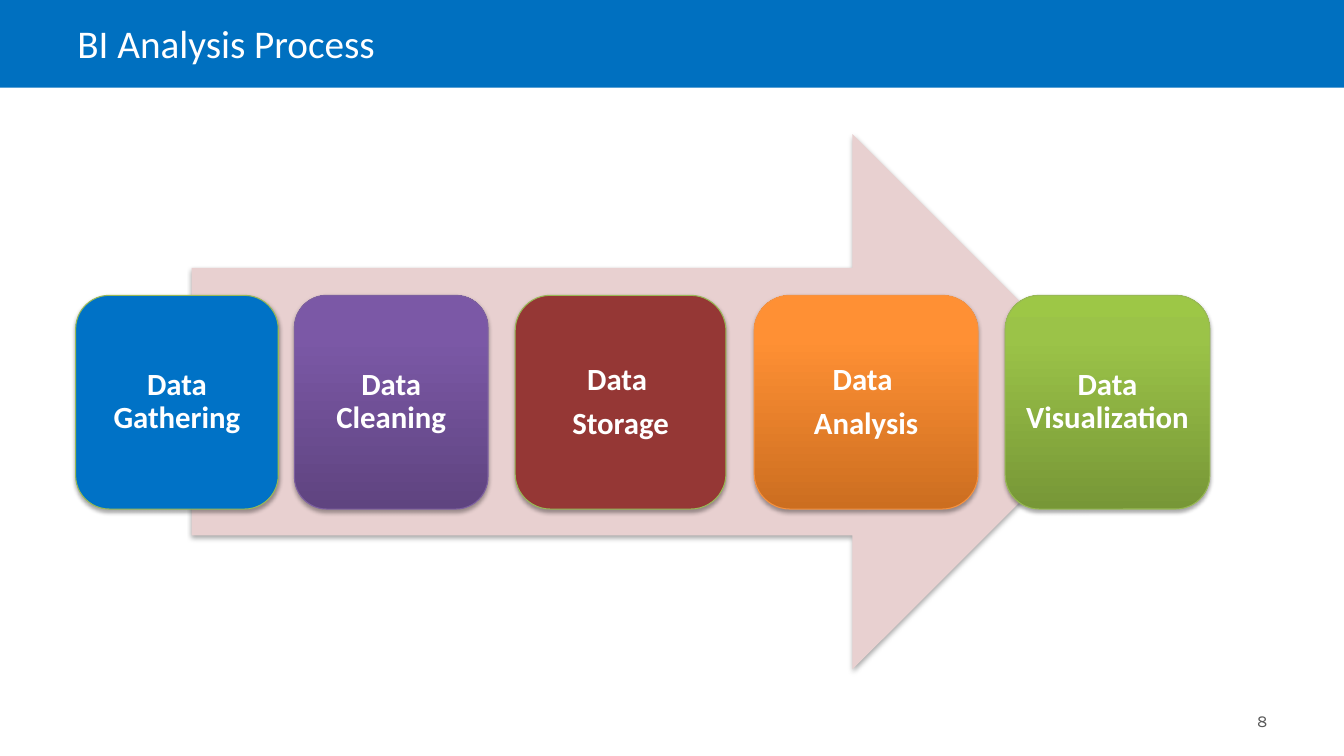
import copy

import lxml.etree
import pptx
import pptx.dml.color
import pptx.enum.shapes
import pptx.enum.text
import pptx.oxml.ns
import pptx.util

Inches = pptx.util.Inches
Pt = pptx.util.Pt
RGBColor = pptx.dml.color.RGBColor
Preset = pptx.enum.shapes.MSO_SHAPE
Align = pptx.enum.text.PP_ALIGN
Anchor = pptx.enum.text.MSO_ANCHOR
qn = pptx.oxml.ns.qn

WHITE = RGBColor(0xFF, 0xFF, 0xFF)
BLACK = RGBColor(0x00, 0x00, 0x00)
GRAY = RGBColor(0x59, 0x59, 0x59)
BANNER_BLUE = RGBColor(0x00, 0x70, 0xC0)
STEP_BLUE = RGBColor(0x00, 0x72, 0xC6)
PINK = RGBColor(0xE8, 0xD0, 0xD0)
RED = RGBColor(0x95, 0x37, 0x35)
GREEN_EDGE = RGBColor(0x98, 0xB9, 0x55)
PURPLE_EDGE = RGBColor(0x7D, 0x60, 0xA0)
ORANGE_EDGE = RGBColor(0xF6, 0x92, 0x40)
PURPLES = (RGBColor(0x5F, 0x44, 0x80), RGBColor(0x7B, 0x58, 0xA6), RGBColor(0x7C, 0x57, 0xA8))
ORANGES = (RGBColor(0xCC, 0x6E, 0x20), RGBColor(0xFF, 0x90, 0x34), RGBColor(0xFF, 0x91, 0x36))
GREENS = (RGBColor(0x77, 0x97, 0x37), RGBColor(0x9B, 0xC3, 0x48), RGBColor(0x9D, 0xC7, 0x46))

STEP_TOP, STEP_HEIGHT = 2.93, 2.12
STEPS = [
    (0.75, 2.01, ["Data Gathering"], STEP_BLUE, GREEN_EDGE),
    (2.92, 1.92, ["Data Cleaning"], PURPLES, PURPLE_EDGE),
    (5.11, 2.09, ["Data ", "Storage"], RED, GREEN_EDGE),
    (7.48, 2.22, ["Data ", "Analysis"], ORANGES, ORANGE_EDGE),
    (9.97, 2.03, ["Data Visualization"], GREENS, GREEN_EDGE),
]


class ProcessSlide:
    """Draws the elements of a process slide in one shared style."""

    def __init__(self, slide, font="Calibri"):
        self.slide = slide
        self.font = font

    def block(self, preset, box, fill, edge=None, shadow=True):
        shape = self.slide.shapes.add_shape(preset, *map(Inches, box))
        shape.shadow.inherit = False
        if isinstance(fill, tuple) and not isinstance(fill, RGBColor):
            self.shade(shape.fill, fill)
        else:
            shape.fill.solid()
            shape.fill.fore_color.rgb = fill
        if edge is None:
            shape.line.fill.background()
        else:
            shape.line.color.rgb = edge
            shape.line.width = Pt(0.75)
        if shadow:
            self.cast_shadow(shape)
        return shape

    def shade(self, fill, colors):
        fill.gradient()
        fill.gradient_angle = 90
        stop_list = fill._xPr.find(".//" + qn("a:gsLst"))
        stop_list.append(copy.deepcopy(stop_list[-1]))
        for stop, position, color in zip(fill.gradient_stops, (0, 0.8, 1), colors):
            stop.position = position
            stop.color.rgb = color

    def cast_shadow(self, shape):
        effects = shape._element.spPr.find(qn("a:effectLst"))
        outer = lxml.etree.SubElement(
            effects, qn("a:outerShdw"), blurRad=str(int(Pt(3.1))), dist=str(int(Pt(1.8))),
            dir="5400000", rotWithShape="0")
        tone = lxml.etree.SubElement(outer, qn("a:srgbClr"), val=str(BLACK))
        lxml.etree.SubElement(tone, qn("a:alpha"), val="35000")

    def set_text(self, frame, lines, size, color, align, font=None, bold=False, gap=0, spacing=0.9):
        frame.word_wrap = True
        frame.vertical_anchor = Anchor.MIDDLE
        for index, line in enumerate(lines):
            paragraph = frame.add_paragraph() if index else frame.paragraphs[0]
            paragraph.text = line
            paragraph.alignment = align
            paragraph.line_spacing = spacing
            paragraph.space_after = Pt(gap)
            paragraph.font.name = font or self.font
            paragraph.font.size = Pt(size)
            paragraph.font.bold = bold
            paragraph.font.color.rgb = color

    def label(self, box, text, size, color, align, **style):
        holder = self.slide.shapes.add_textbox(*map(Inches, box))
        self.set_text(holder.text_frame, [text], size, color, align, **style)

    def step(self, left, width, lines, fill, edge):
        card = self.block(Preset.ROUNDED_RECTANGLE, (left, STEP_TOP, width, STEP_HEIGHT), fill, edge)
        frame = card.text_frame
        frame.margin_left = frame.margin_right = Inches(0.07)
        frame.margin_top = frame.margin_bottom = Inches(0.07)
        self.set_text(frame, lines, 22, WHITE, Align.CENTER, bold=True, gap=7.7)


def main():
    deck = pptx.Presentation()
    deck.slide_width, deck.slide_height = Inches(13.33), Inches(7.5)
    process = ProcessSlide(deck.slides.add_slide(deck.slide_layouts[6]))
    process.block(Preset.RECTANGLE, (0, -0.03, 13.33, 0.9), BANNER_BLUE, shadow=False)
    process.label((0.67, 0, 12, 0.9), "BI Analysis Process", 28, WHITE, Align.LEFT)
    process.label((9.56, 6.95, 3.11, 0.4), "8", 12, GRAY, Align.RIGHT, font="Karla", spacing=1.0)
    process.block(Preset.RIGHT_ARROW, (1.9, 1.33, 9.21, 5.31), PINK)
    for step in STEPS:
        process.step(*step)
    deck.save("out.pptx")


if __name__ == "__main__":
    main()
